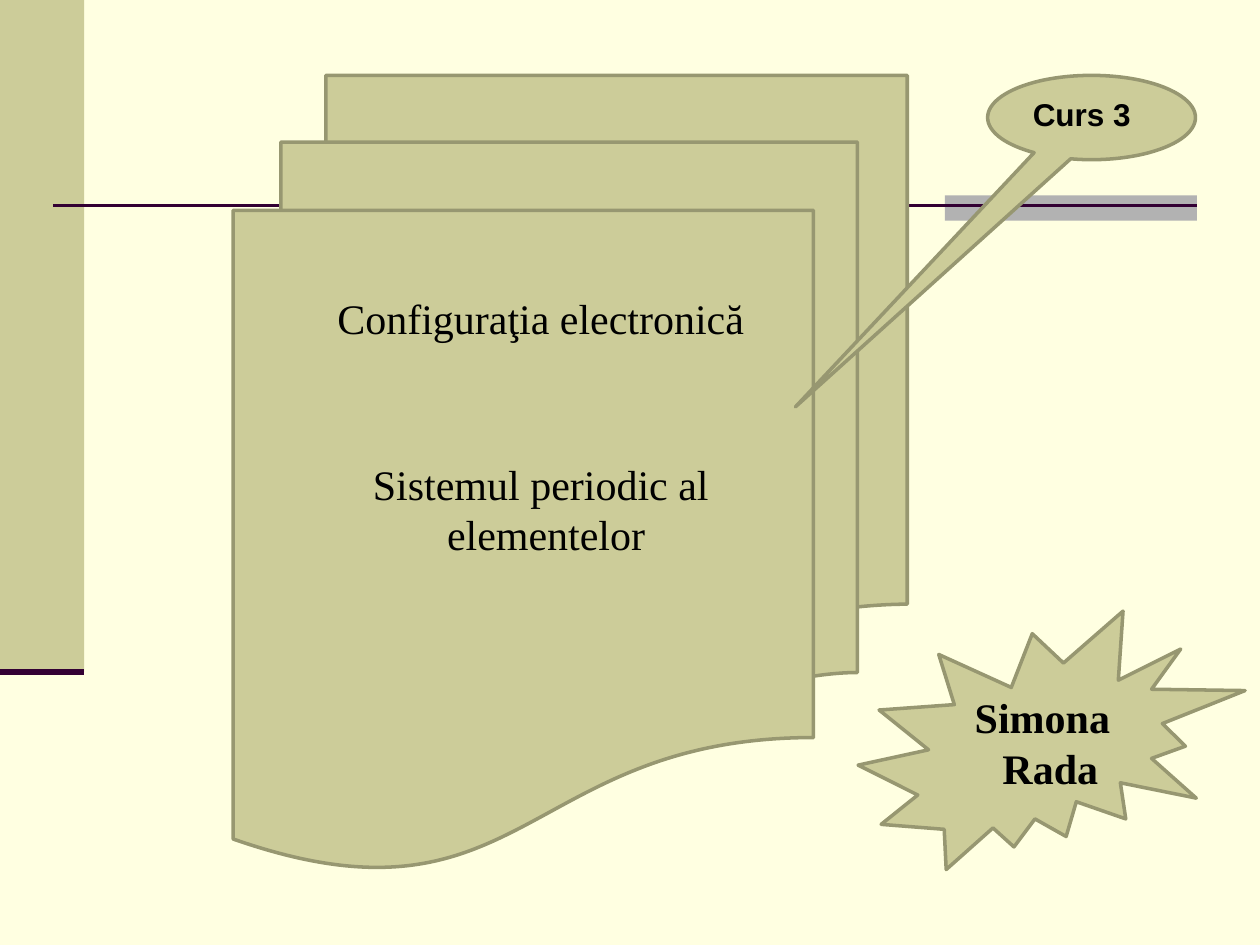
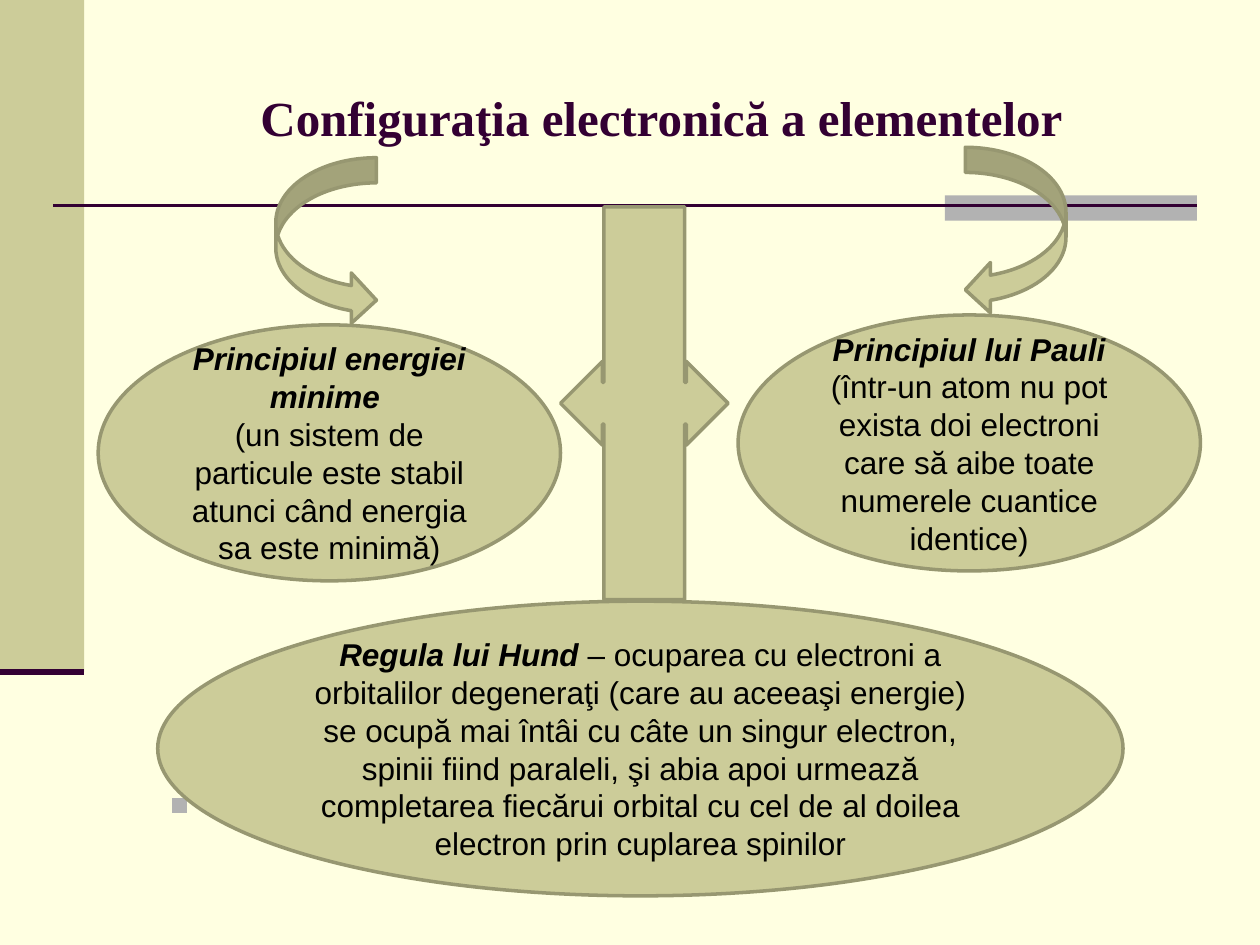
from pptx import Presentation
from pptx.dml.color import RGBColor
from pptx.enum.shapes import MSO_CONNECTOR, MSO_SHAPE
from pptx.enum.text import MSO_ANCHOR, MSO_AUTO_SIZE, PP_ALIGN
from pptx.oxml.ns import qn
from pptx.util import Cm, Pt
from lxml import etree

CREAM = RGBColor(0xFF, 0xFF, 0xE1)
KHAKI = RGBColor(0xCC, 0xCC, 0x99)
OLIVE = RGBColor(0x97, 0x97, 0x71)
GREY = RGBColor(0xB2, 0xB2, 0xB2)
PLUM = RGBColor(0x33, 0x00, 0x33)
BLACK = RGBColor(0, 0, 0)
SANS, SERIF = "Arial", "Times New Roman"
RECT, OVAL = MSO_SHAPE.RECTANGLE, MSO_SHAPE.OVAL
STRAIGHT = MSO_CONNECTOR.STRAIGHT
LEFT, CENTER = PP_ALIGN.LEFT, PP_ALIGN.CENTER
MIDDLE = MSO_ANCHOR.MIDDLE
NO_FIT = MSO_AUTO_SIZE.NONE


def draw(slide, kind, box, fill=KHAKI, line=OLIVE):
    shape = slide.shapes.add_shape(kind, *[Cm(n) for n in box])
    shape.shadow.inherit = False
    shape.fill.solid()
    shape.fill.fore_color.rgb = fill
    if line is None:
        shape.line.fill.background()
    else:
        shape.line.color.rgb = line
        shape.line.width = Pt(2)
    return shape


def write(frame, lines, face, size, align=CENTER, bold=None, color=BLACK):
    """Each line is a list of (text, strong) runs."""
    frame.word_wrap = True
    for i, runs in enumerate(lines):
        par = frame.add_paragraph() if i else frame.paragraphs[0]
        par.alignment = align
        font = par.font
        font.name, font.size, font.bold = face, Pt(size), bold
        font.color.rgb = color
        for text, strong in runs:
            run = par.add_run()
            run.text = text
            if strong:
                run.font.bold = run.font.italic = True


prs = Presentation()
prs.slide_width, prs.slide_height = Cm(25.4), Cm(19.05)
back = prs.slide_master.background.fill
back.solid()
back.fore_color.rgb = CREAM

cover = prs.slides.add_slide(prs.slide_layouts[6])
rules = prs.slides.add_slide(prs.slide_layouts[5])

# Shared bands and lines
for slide in (cover, rules):
    draw(slide, RECT, (0, 0, 1.7, 13.55), line=None)
    draw(slide, RECT, (19.05, 3.94, 5.08, 0.51), GREY, None)
    for x1, x2, y, width in ((1.07, 24.13, 4.14, 1.5), (0, 1.7, 13.55, 3.5)):
        line = slide.shapes.add_connector(STRAIGHT, Cm(x1), Cm(y), Cm(x2), Cm(y))
        line.line.color.rgb = PLUM
        line.line.width = Pt(width)
        etree.SubElement(line._element.spPr, qn("a:effectLst"))

# Cover: stacked pages, callout and star
draw(cover, MSO_SHAPE.FLOWCHART_MULTIDOCUMENT, (4.7, 1.52, 13.59, 16))
bubble = draw(cover, MSO_SHAPE.OVAL_CALLOUT, (19.91, 1.52, 4.19, 1.7))
bubble.adjustments[0], bubble.adjustments[1] = -1.425, 3.432
draw(cover, MSO_SHAPE.EXPLOSION2, (17.3, 12.32, 7.8, 5.21))

# Cover: texts, with the indent of each line
labels = [
    ((6.55, 5.77, 8.99, 1.3), ["Configuraţia electronică"], SERIF, 24, LEFT, False, [0]),
    ((3.96, 9.12, 14.1, 2.31), ["Sistemul periodic al ", "elementelor"],
     SERIF, 24, CENTER, False, [0, 0]),
    ((20.57, 1.8, 3, 1.02), ["Curs 3"], SANS, 18, LEFT, True, [0]),
    ((18.69, 13.82, 4.72, 2.31), ["Simona", "Rada"], SERIF, 24, LEFT, True, [0.71, 1.27]),
]
for box, lines, face, size, align, bold, dents in labels:
    frame = cover.shapes.add_textbox(*[Cm(n) for n in box]).text_frame
    write(frame, [[(text, False)] for text in lines], face, size, align, bold)
    for par, dent in zip(frame.paragraphs, dents):
        par._p.get_or_add_pPr().set("marL", str(Cm(dent)))

# Rules: title
title = rules.shapes.title
title.left, title.top = Cm(2.54), Cm(0.76)
title.width, title.height = Cm(21.59), Cm(3.18)
title.text_frame.auto_size = NO_FIT
title.text_frame.vertical_anchor = MIDDLE
write(title.text_frame, [[("Configuraţia electronică a elementelor", False)]],
      SERIF, 28, bold=True, color=PLUM)

# Rules: square mark and arrows
draw(rules, RECT, (3.47, 16.09, 0.3, 0.3), GREY, None)
draw(rules, MSO_SHAPE.CURVED_RIGHT_ARROW, (5.56, 3.18, 2.03, 3.38))
draw(rules, MSO_SHAPE.CURVED_LEFT_ARROW, (19.46, 2.97, 2.03, 3.38))
draw(rules, MSO_SHAPE.LEFT_RIGHT_ARROW_CALLOUT, (11.3, 4.17, 3.38, 7.92))

# Rules: the three ovals
ovals = [
    ((1.98, 6.55, 9.32, 5.16), [
        [("Principiul energiei minime ", True)],
        [("(un sistem de particule este stabil atunci când energia sa este minimă)",
          False)]]),
    ((14.88, 6.35, 9.32, 5.16), [
        [("Principiul lui Pauli ", True),
         ("(într-un atom nu pot exista doi electroni care să aibe toate "
          "numerele cuantice identice)", False)]]),
    ((3.18, 12.12, 19.46, 5.94), [
        [("Regula lui Hund ", True),
         ("– ocuparea cu electroni a orbitalilor degeneraţi (care au aceeaşi "
          "energie) se ocupă mai întâi cu câte un singur electron, spinii fiind "
          "paraleli, şi abia apoi urmează completarea fiecărui orbital cu cel de "
          "al doilea electron prin cuplarea spinilor", False)]]),
]
for box, lines in ovals:
    frame = draw(rules, OVAL, box).text_frame
    frame.vertical_anchor = MIDDLE
    write(frame, lines, SANS, 18)

prs.save("out.pptx")
